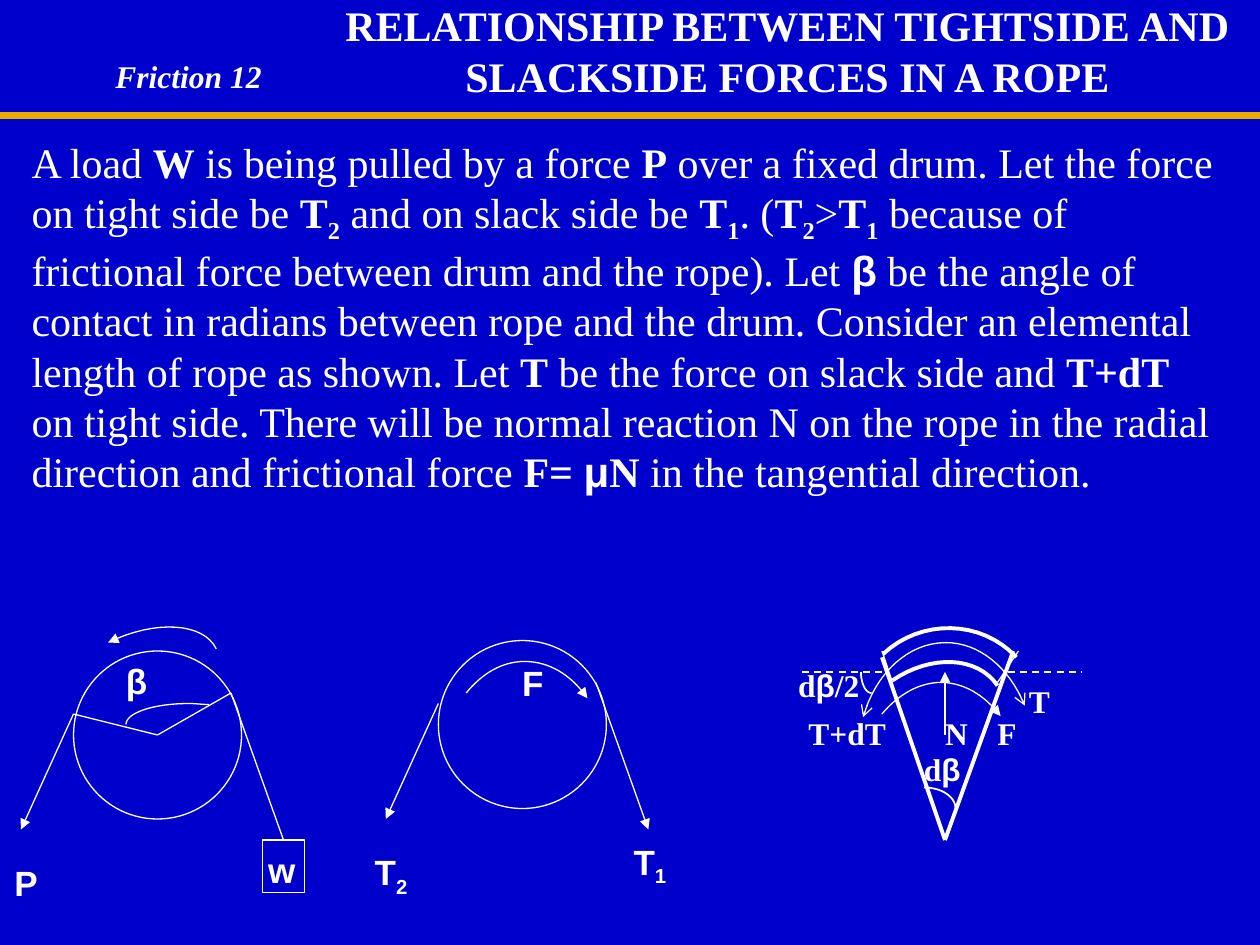
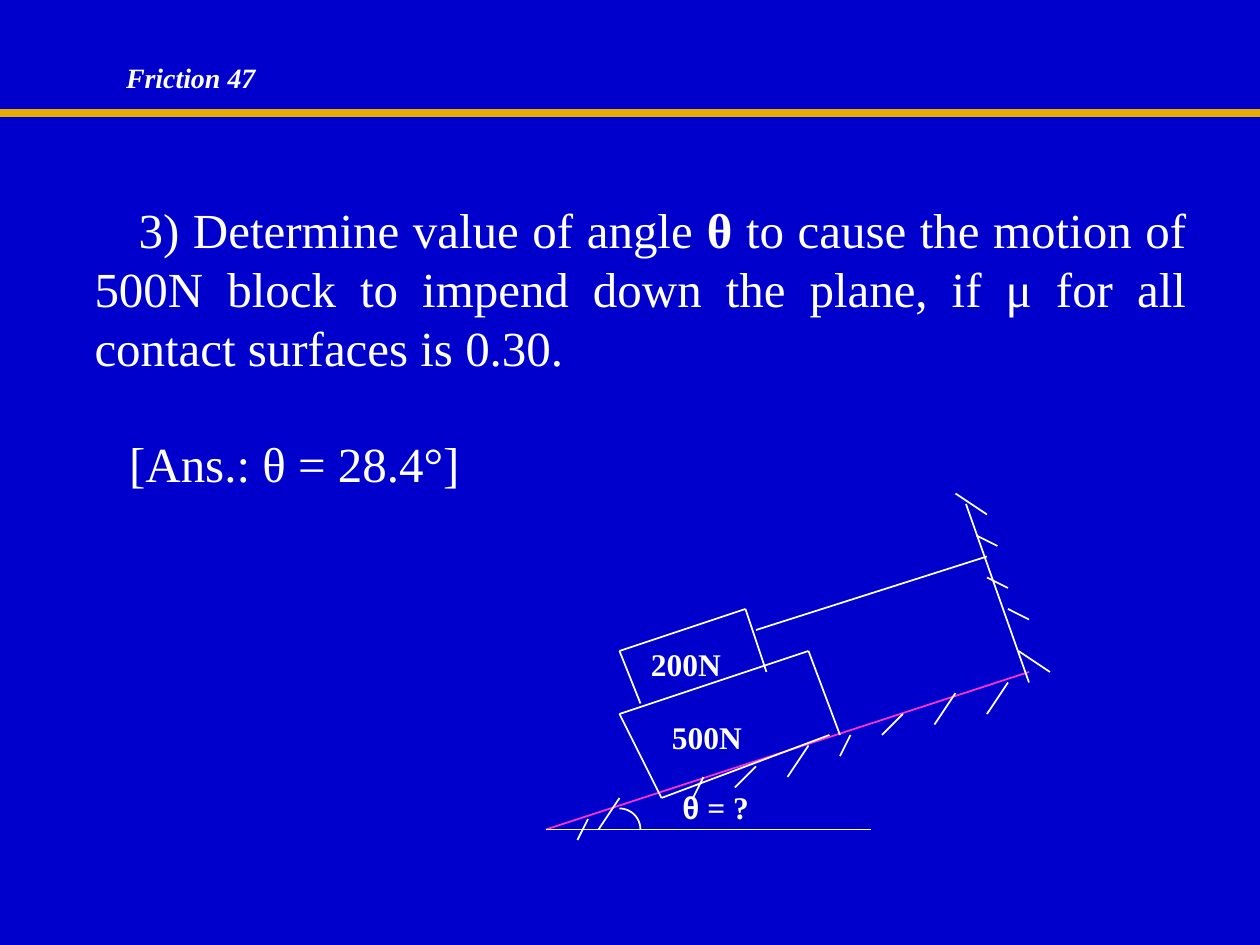
from dataclasses import dataclass
from itertools import pairwise

from lxml import etree
from pptx import Presentation
from pptx.dml.color import RGBColor
from pptx.enum.dml import MSO_LINE
from pptx.enum.shapes import MSO_CONNECTOR, MSO_SHAPE
from pptx.enum.text import PP_ALIGN as Align
from pptx.oxml.ns import qn
from pptx.slide import Slide
from pptx.util import Cm, Pt

BLUE, WHITE, GOLD, PINK = "0000CC", "FFFFFF", "E8AB00", "FF33CC"
SERIF, SANS = "Times New Roman", "Arial"
GRID_CM = 2.54 / 12
DIAGRAM_TOP = 58


def grid(steps):
    """Turn steps of the drawing grid, twelve to the inch, into a length."""
    return Cm(steps * GRID_CM)


def color(hex_string):
    """Turn a hex string into a colour."""
    return RGBColor.from_string(hex_string)


def style_line(part, ink, weight, start=None, end=None):
    """Set colour and width of a line, and its arrowheads."""
    part.line.color.rgb = color(ink)
    part.line.width = Pt(weight)
    outline = part.line._get_or_add_ln()
    for tag, head in (("a:headEnd", start), ("a:tailEnd", end)):
        if head:
            etree.SubElement(outline, qn(tag)).set("type", head)


def bezier(start, pull_a, pull_b, end, pieces=16):
    """Return the points along one cubic curve, without its start."""
    points = []
    for piece in range(1, pieces + 1):
        t = piece / pieces
        weights = ((1 - t) ** 3, 3 * t * (1 - t) ** 2, 3 * t * t * (1 - t), t ** 3)
        corners = (start, pull_a, pull_b, end)
        points.append(tuple(sum(w * c[axis] for w, c in zip(weights, corners))
                            for axis in (0, 1)))
    return points


def write(paragraph, pieces, size, font):
    """Write pieces (text, flags): b bold, i italic, s subscript, a Arial."""
    for text, flags in pieces:
        run = paragraph.add_run()
        run.text = text
        run.font.size = Pt(size)
        run.font.name = SANS if "a" in flags else font
        run.font.bold = "b" in flags
        run.font.italic = "i" in flags
        run.font.color.rgb = color(WHITE)
        if "s" in flags:
            run._r.get_or_add_rPr().set("baseline", "-25000")


def indent(paragraph, margin, first):
    """Set the left margin and the first-line indent of a paragraph."""
    properties = paragraph._p.get_or_add_pPr()
    properties.set("marL", str(grid(margin)))
    properties.set("indent", str(grid(first)))


@dataclass
class Region:
    """A box on a slide whose parts are placed in grid steps from its corner."""
    slide: Slide
    left: float = 0
    top: float = 0

    def at(self, point):
        """Return the place on the slide of a point in this region."""
        return grid(self.left + point[0]), grid(self.top + point[1])

    def line(self, start, end, weight=0.75, ink=WHITE, arrow=None):
        """Draw a straight line."""
        stroke = self.slide.shapes.add_connector(
            MSO_CONNECTOR.STRAIGHT, *self.at(start), *self.at(end))
        style_line(stroke, ink, weight, end=arrow)
        etree.SubElement(stroke._element.spPr, qn("a:effectLst"))
        return stroke

    def chain(self, *points, weight=1):
        """Draw straight lines from point to point."""
        for start, end in pairwise(points):
            self.line(start, end, weight)

    def curve(self, *points, weight=0.75, start=None, end=None):
        """Draw cubic curves through every third point."""
        trail = [point for i in range(0, len(points) - 1, 3)
                 for point in bezier(*points[i:i + 4])]
        builder = self.slide.shapes.build_freeform(*self.at(points[0]))
        builder.add_line_segments([self.at(point) for point in trail], close=False)
        arc = builder.convert_to_shape()
        arc.shadow.inherit = False
        arc.fill.background()
        style_line(arc, WHITE, weight, start, end)

    def outline(self, preset, corner, width, height):
        """Draw an unfilled preset shape."""
        figure = self.slide.shapes.add_shape(
            preset, *self.at(corner), grid(width), grid(height))
        figure.shadow.inherit = False
        figure.fill.background()
        style_line(figure, WHITE, 0.75)
        return figure

    def text(self, pieces, corner, width, height=4, size=18, font=SERIF,
             align=Align.LEFT):
        """Place a text box without insets and return its frame."""
        if isinstance(pieces, str):
            pieces = [(pieces, "b")]
        frame = self.slide.shapes.add_textbox(
            *self.at(corner), grid(width), grid(height)).text_frame
        frame.word_wrap = True
        frame.margin_left = frame.margin_right = 0
        frame.margin_top = frame.margin_bottom = 0
        frame.paragraphs[0].alignment = align
        write(frame.paragraphs[0], pieces, size, font)
        return frame

    def force(self, pieces, corner, width):
        """Place a centred label beside a drum."""
        self.text(pieces, corner, width, size=20, font=SANS, align=Align.CENTER)


def add_header(deck, number, band_top, corner, size):
    """Add a slide with the gold band and the chapter number."""
    slide = deck.slides.add_slide(deck.slide_layouts[6])
    slide.background.fill.solid()
    slide.background.fill.fore_color.rgb = color(BLUE)
    header = Region(slide)
    header.line((0, band_top), (120, band_top), 4.5, GOLD)
    header.text([(f"Friction {number}", "bi")], corner, 20, size=size)
    return header


def draw_drum(region, top, left_grip):
    """Draw a drum and the rope pulled down on its left."""
    region.outline(MSO_SHAPE.OVAL, (7, top), 16, 16)
    region.line((7, left_grip), (2, left_grip + 11), arrow="triangle")


def draw_loaded_drum(region):
    """Draw the drum with load, pull and angle of contact."""
    draw_drum(region, 4, 10)
    center, right_grip = (15, 12), (22, 8)
    region.line(center, right_grip)
    region.line(center, (7, 10))
    load = region.outline(MSO_SHAPE.RECTANGLE, (25, 22), 4, 5)
    region.line(right_grip, (27, 22)).end_connect(load, 0)
    region.curve((19.9, 9.1), (19.3, 9.1), (18.6, 9), (18, 9),
                 (14.6, 9), (12, 9.9), (12, 11))
    region.curve((10.3, 3.2), (14.8, 1), (19.4, 1.3), (20.6, 3.8), start="triangle")
    region.force("P", (0, 24), 5)
    region.force("w", (24.7, 22.8), 4.3)
    region.force("β", (11.7, 4.8), 2.6)


def draw_tension_drum(region):
    """Draw the drum with the tensions and the friction."""
    draw_drum(region, 3, 9)
    region.line((22, 7), (27, 21), arrow="triangle")
    region.curve((9.65, 8), (11.2, 6.1), (13.1, 5), (15.2, 5),
                 (17.5, 5), (19.6, 6.2), (21.2, 8.5), end="triangle")
    region.force([("T", "b"), ("2", "bs")], (0, 23), 5)
    region.force([("T", "b"), ("1", "bs")], (25, 22), 4.3)
    region.force("F", (14, 5), 4)


def draw_rope_element(region):
    """Draw the forces on an elemental length of rope."""
    apex = (14, 22)
    region.curve((8.1, 4.3), (11.7, 0.9), (17.5, 1), (20.8, 4.6), weight=2.25)
    region.curve((9, 6.8), (12.7, 4.3), (17.1, 4.5), (19, 7.3), weight=2.25)
    region.line((8, 4), (9, 7))
    region.line((21, 4), (19, 7))
    for rim in ((8, 4.6), (20.5, 4)):
        region.line(rim, apex, 2.25)
    region.curve((8, 10), (9.6, 8.1), (11.6, 7), (13.6, 7),
                 (15.7, 7), (17.7, 8.1), (19.3, 10.2), end="triangle")
    region.line((14, 12), (14, 6), arrow="triangle")
    region.curve((6.2, 10.3), (7.4, 6.1), (10.5, 3.2), (14.1, 3.2),
                 (17.2, 3.2), (20.1, 5.5), (21.6, 9.2), start="arrow", end="arrow")
    for start, end in ((20, 27), (8, 0)):
        region.line((start, 6), (end, 6), 1).line.dash_style = MSO_LINE.DASH
    region.curve((12, 17), (13.7, 17), (15, 17.9), (15, 19), weight=1)
    region.curve((7, 8), (6.4, 8), (6, 7), (6, 6), weight=1)
    beta = [("d", "b"), ("β", "ba")]
    for pieces, corner, width in (
            ("N", (14, 10), 3), (beta, (12, 13.4), 5), ("T+dT", (1, 10), 9),
            ("T", (22, 7), 7), ("F", (19, 10), 7),
            (beta + [("/2", "b")], (0, 5.4), 10)):
        region.text(pieces, corner, width)


def draw_incline(region):
    """Draw two blocks on a slope, the upper one tied to a wall."""
    region.line((0, 33), (46, 18), 1, PINK)
    region.chain((0, 33), (31, 33))
    region.chain((27, 24), (11, 30), (7, 22), (25, 16), (28, 24))
    region.chain((9, 21), (7, 16), (19, 12), (21, 18))
    region.chain((20, 14), (42, 7))
    region.chain((40, 2), (46, 19))
    wall_hatches = ((39, 1, 3, 2), (41, 5, 2, 1), (42, 9, 2, 1), (44, 12, 2, 1),
                    (45, 16, 3, 2))
    slope_hatches = ((44, 19, -2, 3), (39, 20, -2, 3), (34, 22, -2, 2),
                     (29, 24, -1, 2), (25, 25, -2, 3), (20, 27, -2, 2),
                     (15, 28, -1, 2), (7, 30, -2, 3), (4, 32, -1, 2))
    for x, y, run, drop in wall_hatches + slope_hatches:
        region.chain((x, y), (x + run, y + drop))
    region.curve((7, 31), (8.1, 31), (9, 31.9), (9, 33), weight=1)
    region.text("500N", (12, 22.4), 25)
    region.text("200N", (10, 15.4), 19)
    region.text([("θ", "ba"), (" = ?", "b")], (13, 29), 8)


def build_rope_slide(deck):
    """Build the slide on the forces in a rope over a drum."""
    page = add_header(deck, 12, 11, (11, 5.4), 18)
    title = page.text(
        "RELATIONSHIP BETWEEN TIGHTSIDE AND SLACKSIDE FORCES IN A ROPE",
        (30, 0), 90, 9.6, 24, align=Align.CENTER)
    indent(title.paragraphs[0], 0, -5)
    slack = [("T", "b"), ("1", "bs")]
    tight = [("T", "b"), ("2", "bs")]
    page.text([
        ("A load ", ""), ("W", "b"), (" is being pulled by a force ", ""), ("P", "b"),
        (" over a fixed drum. Let the force on tight side be ", ""), *tight,
        (" and on slack side be ", ""), *slack, (". (", ""), *tight, (">", ""), *slack,
        (" because of frictional force between drum and the rope). Let ", ""),
        ("β", "ba"),
        (" be the angle of contact in radians between rope and the drum. "
         "Consider an elemental length of rope as shown. Let ", ""),
        ("T", "b"), (" be the force on slack side and ", ""), ("T+dT", "b"),
        (" on tight side. There will be normal reaction N on the rope in the "
         "radial direction and frictional force ", ""),
        ("F= ", "b"), ("μ", "ba"), ("N", "b"), (" in the tangential direction.", ""),
    ], (3, 13), 112.75, 34.3, 24)
    draw_loaded_drum(Region(page.slide, 0, DIAGRAM_TOP))
    draw_tension_drum(Region(page.slide, 34.75, DIAGRAM_TOP))
    draw_rope_element(Region(page.slide, 76, DIAGRAM_TOP))


def build_problem_slide(deck):
    """Build the slide with the problem of the tied block."""
    page = add_header(deck, 47, 10.8, (12, 5.8), 16)
    problem = page.text([
        ("3) Determine value of angle ", ""), ("θ", "b"),
        (" to cause the motion of 500N block to impend down the plane, "
         "if μ for all contact surfaces is 0.30.", ""),
    ], (3, 19), 110, 28, 28, align=Align.JUSTIFY)
    indent(problem.paragraphs[0], 6, 4.2)
    answer = problem.add_paragraph()
    answer.alignment = Align.JUSTIFY
    answer.space_before = Pt(33)
    indent(answer, 6, 3.3)
    write(answer, [("[Ans.: θ = 28.4°]", "")], 28, SERIF)
    draw_incline(Region(page.slide, 52, 46))


def main():
    """Build and save the deck."""
    deck = Presentation()
    deck.slide_width, deck.slide_height = Cm(25.4), Cm(19.05)
    build_rope_slide(deck)
    build_problem_slide(deck)
    deck.save("out.pptx")


if __name__ == "__main__":
    main()
